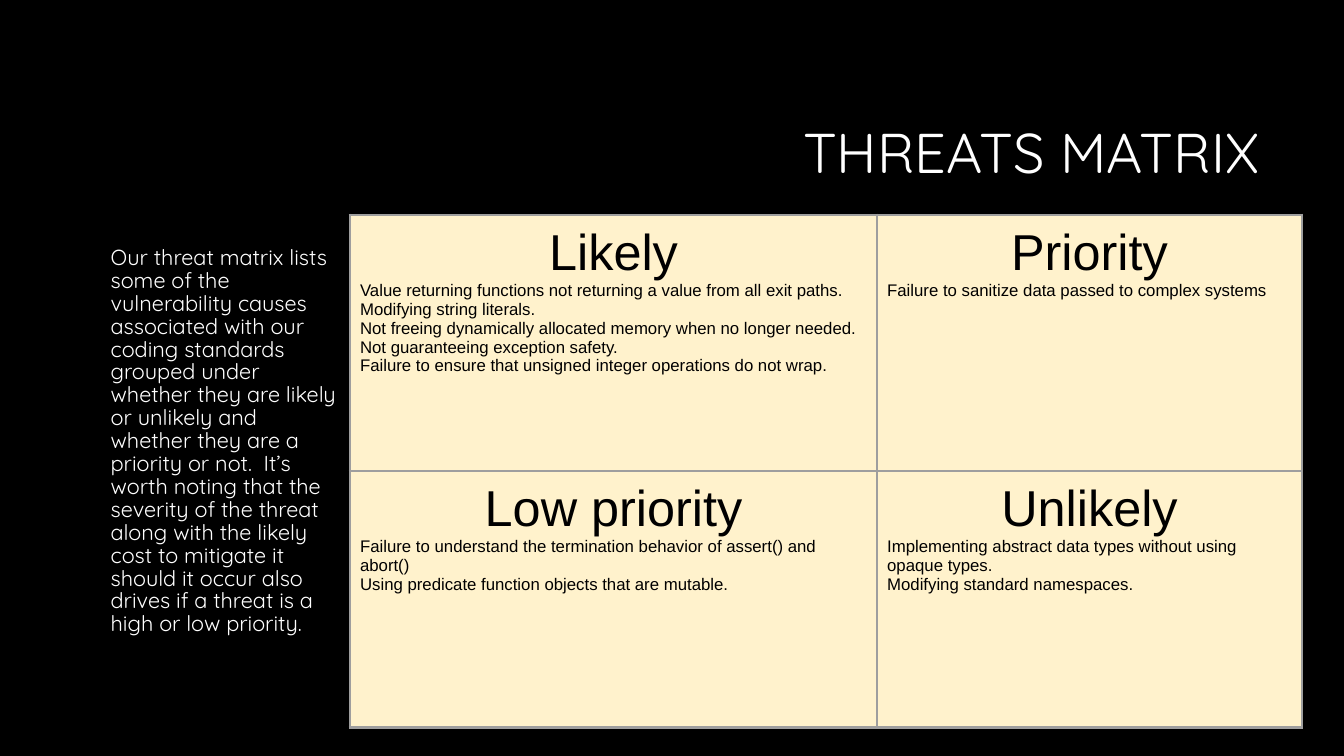
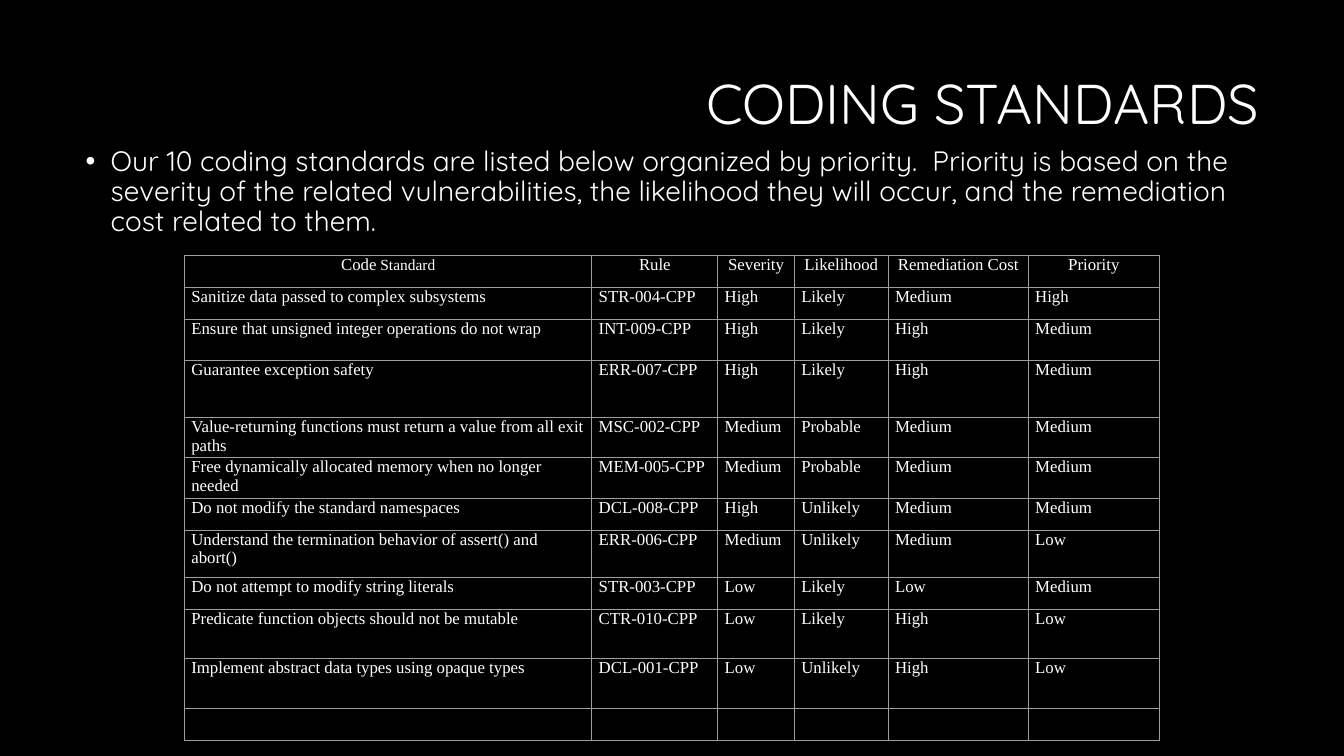
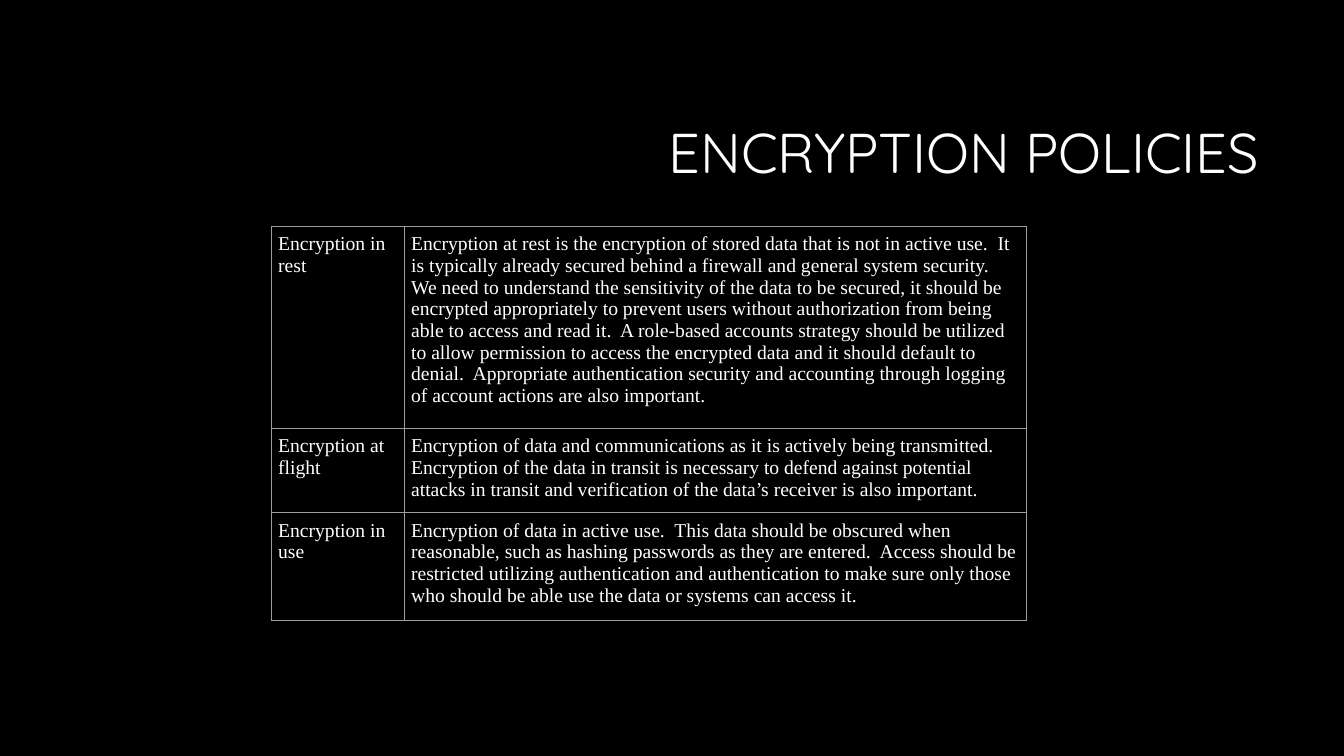
from lxml import etree
from pptx import Presentation
from pptx.dml.color import RGBColor
from pptx.enum.text import MSO_ANCHOR, PP_ALIGN
from pptx.oxml.ns import qn
from pptx.util import Pt

LEFT, CENTER, RIGHT = PP_ALIGN.LEFT, PP_ALIGN.CENTER, PP_ALIGN.RIGHT
TOP, MIDDLE = MSO_ANCHOR.TOP, MSO_ANCHOR.MIDDLE
BLACK = RGBColor(0x00, 0x00, 0x00)
WHITE = RGBColor(0xFF, 0xFF, 0xFF)
CREAM = RGBColor(0xFF, 0xF2, 0xCC)
GREY = RGBColor(0x9E, 0x9E, 0x9E)
HEADING, SANS, SERIF = "Quicksand", "Arial", "Times New Roman"

THREATS = [
    ["Likely\n"
     "Value returning functions not returning a value from all exit paths.\n"
     "Modifying string literals.\n"
     "Not freeing dynamically allocated memory when no longer needed.\n"
     "Not guaranteeing exception safety.\n"
     "Failure to ensure that unsigned integer operations do not wrap.",
     "Priority\nFailure to sanitize data passed to complex systems"],
    ["Low priority\n"
     "Failure to understand the termination behavior of assert() and abort()\n"
     "Using predicate function objects that are mutable.",
     "Unlikely\n"
     "Implementing abstract data types without using opaque types.\n"
     "Modifying standard namespaces."],
]
STANDARDS = [
    ["Code", "Rule", "Severity", "Likelihood", "Remediation Cost", "Priority"],
    ["Sanitize data passed to complex subsystems",
     "STR-004-CPP", "High", "Likely", "Medium", "High"],
    ["Ensure that unsigned integer operations do not wrap",
     "INT-009-CPP", "High", "Likely", "High", "Medium"],
    ["Guarantee exception safety",
     "ERR-007-CPP", "High", "Likely", "High", "Medium"],
    ["Value-returning functions must return a value from all exit paths",
     "MSC-002-CPP", "Medium", "Probable", "Medium", "Medium"],
    ["Free dynamically allocated memory when no longer needed",
     "MEM-005-CPP", "Medium", "Probable", "Medium", "Medium"],
    ["Do not modify the standard namespaces",
     "DCL-008-CPP", "High", "Unlikely", "Medium", "Medium"],
    ["Understand the termination behavior of assert() and abort()",
     "ERR-006-CPP", "Medium", "Unlikely", "Medium", "Low"],
    ["Do not attempt to modify string literals",
     "STR-003-CPP", "Low", "Likely", "Low", "Medium"],
    ["Predicate function objects should not be mutable",
     "CTR-010-CPP", "Low", "Likely", "High", "Low"],
    ["Implement abstract data types using opaque types",
     "DCL-001-CPP", "Low", "Unlikely", "High", "Low"],
    [""] * 6,
]
ENCRYPTION = [
    ["Encryption in rest",
     "Encryption at rest is the encryption of stored data that is not in active use.  "
     "It is typically already secured behind a firewall and general system security.  "
     "We need to understand the sensitivity of the data to be secured, it should be "
     "encrypted appropriately to prevent users without authorization from being able "
     "to access and read it.  A role-based accounts strategy should be utilized to "
     "allow permission to access the encrypted data and it should default to denial.  "
     "Appropriate authentication security and accounting through logging of account "
     "actions are also important."],
    ["Encryption at flight",
     "Encryption of data and communications as it is actively being transmitted.  "
     "Encryption of the data in transit is necessary to defend against potential "
     "attacks in transit and verification of the data’s receiver is also important."],
    ["Encryption in use",
     "Encryption of data in active use.  This data should be obscured when reasonable, "
     "such as hashing passwords as they are entered.  Access should be restricted "
     "utilizing authentication and authentication to make sure only those who should "
     "be able use the data or systems can access it."],
]


class Deck:
    """Holds the shared style and the current slide, and draws its elements."""

    def __init__(self):
        self.prs = Presentation()
        self.prs.slide_width, self.prs.slide_height = Pt(960), Pt(540)
        fill = self.prs.slide_master.background.fill
        fill.solid()
        fill.fore_color.rgb = BLACK

    def slide(self, title, y=60.5):
        self.s = self.prs.slides.add_slide(self.prs.slide_layouts[6])
        self.text(title, 228, y, 678.5, 101.5, 40, align=RIGHT, anchor=MIDDLE)

    def style(self, p, font, size, color, align=LEFT):
        p.alignment = align
        for r in p.runs:
            r.font.name, r.font.size = font, Pt(size)
            r.font.color.rgb = color

    def text(self, text, x, y, w, h, size, align=LEFT, anchor=TOP, spacing=0.9):
        tf = self.s.shapes.add_textbox(Pt(x), Pt(y), Pt(w), Pt(h)).text_frame
        tf.word_wrap = True
        tf.vertical_anchor = anchor
        tf.text = text
        p = tf.paragraphs[0]
        p.line_spacing = spacing
        self.style(p, HEADING, size, WHITE, align)
        return p

    def body(self, text, y, w, size, spacing=0.9, bullet=False):
        p = self.text(text, 54, y, w, 317, size, spacing=spacing)
        pPr = p._p.get_or_add_pPr()
        pPr.set("marL", str(Pt(18)))
        pPr.set("indent", str(Pt(-18 if bullet else 0)))
        if bullet:
            color = etree.SubElement(pPr, qn("a:buClr"))
            etree.SubElement(color, qn("a:srgbClr"), val=str(WHITE))
            etree.SubElement(pPr, qn("a:buFont"), typeface=SANS)
            etree.SubElement(pPr, qn("a:buChar"), char="•")

    def border(self, cell, width):
        tcPr = cell._tc.get_or_add_tcPr()
        for side in ("a:lnL", "a:lnR", "a:lnT", "a:lnB"):
            ln = etree.SubElement(tcPr, qn(side), w=str(Pt(width)))
            fill = etree.SubElement(ln, qn("a:solidFill"))
            etree.SubElement(fill, qn("a:srgbClr"), val=str(GREY))

    def table(self, data, x, y, cols, rows, size, inset_x=4.9, inset_y=0,
              font=SERIF, color=WHITE, fill=None, line=0.75):
        table = self.s.shapes.add_table(len(rows), len(cols), Pt(x), Pt(y),
                                        Pt(sum(cols)), Pt(sum(rows))).table
        table.first_row = table.horz_banding = False
        for column, w in zip(table.columns, cols):
            column.width = Pt(w)
        for row, h, texts in zip(table.rows, rows, data):
            row.height = Pt(h)
            for cell, text in zip(row.cells, texts):
                cell.margin_left = cell.margin_right = Pt(inset_x)
                cell.margin_top = cell.margin_bottom = Pt(inset_y)
                self.border(cell, line)
                if fill is None:
                    cell.fill.background()
                else:
                    cell.fill.solid()
                    cell.fill.fore_color.rgb = fill
                cell.text_frame.text = text
                for p in cell.text_frame.paragraphs:
                    self.style(p, font, size, color)
        return table


def threats_matrix(deck):
    deck.slide("THREATS MATRIX")
    deck.body("Our threat matrix lists some of the vulnerability causes associated "
              "with our coding standards grouped under whether they are likely or "
              "unlikely and whether they are a priority or not.  It’s worth noting "
              "that the severity of the threat along with the likely cost to mitigate "
              "it should it occur also drives if a threat is a high or low priority.",
              173, 196, 15.5, spacing=0.88)
    table = deck.table(THREATS, 250, 153.5, [376.5, 303.5], [183, 183], 12,
                       inset_x=7.2, inset_y=7.2, font=SANS, color=BLACK,
                       fill=CREAM, line=2.25)
    for cell in table.iter_cells():
        deck.style(cell.text_frame.paragraphs[0], SANS, 36, BLACK, CENTER)


def coding_standards(deck):
    deck.slide("CODING STANDARDS", y=25.5)
    deck.body("Our 10 coding standards are listed below organized by priority.  "
              "Priority is based on the severity of the related vulnerabilities, the "
              "likelihood they will occur, and the remediation cost related to them.",
              101.5, 852, 20, bullet=True)
    table = deck.table(STANDARDS, 131.8, 182.2, [291, 90, 54.7, 67, 100.1, 93.6],
                       [23, 23, 29.5, 40.5, 26.5, 27, 23, 33.5, 23, 35, 36, 23], 12)
    for cell in table.rows[0].cells:
        cell.text_frame.paragraphs[0].alignment = CENTER
    r = table.cell(0, 0).text_frame.paragraphs[0].add_run()
    r.text = " Standard"
    r.font.name, r.font.size = SERIF, Pt(11)
    r.font.color.rgb = WHITE


def encryption_policies(deck):
    deck.slide("ENCRYPTION POLICIES")
    deck.table(ENCRYPTION, 193.8, 161.8, [95, 444.3], [134, 56, 72], 14, inset_y=4.9)


def main():
    deck = Deck()
    threats_matrix(deck)
    coding_standards(deck)
    encryption_policies(deck)
    deck.prs.save("out.pptx")


if __name__ == "__main__":
    main()
